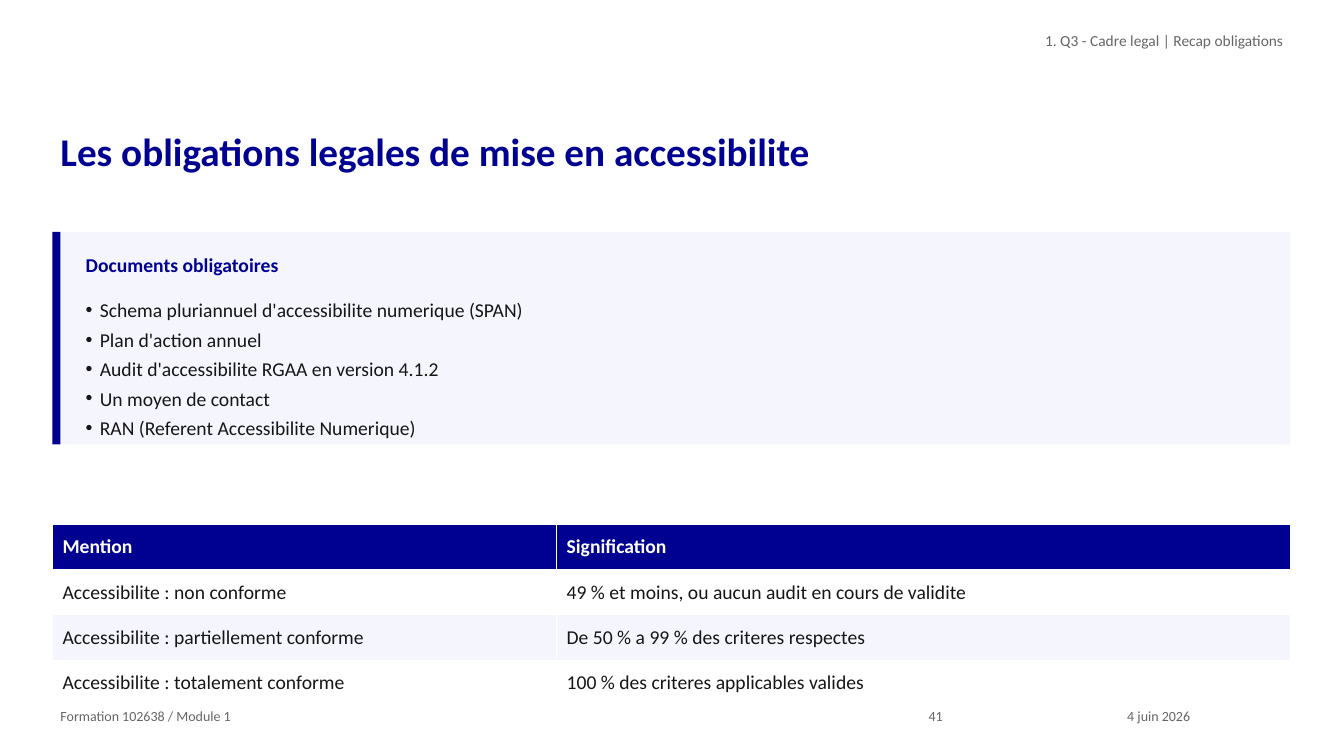
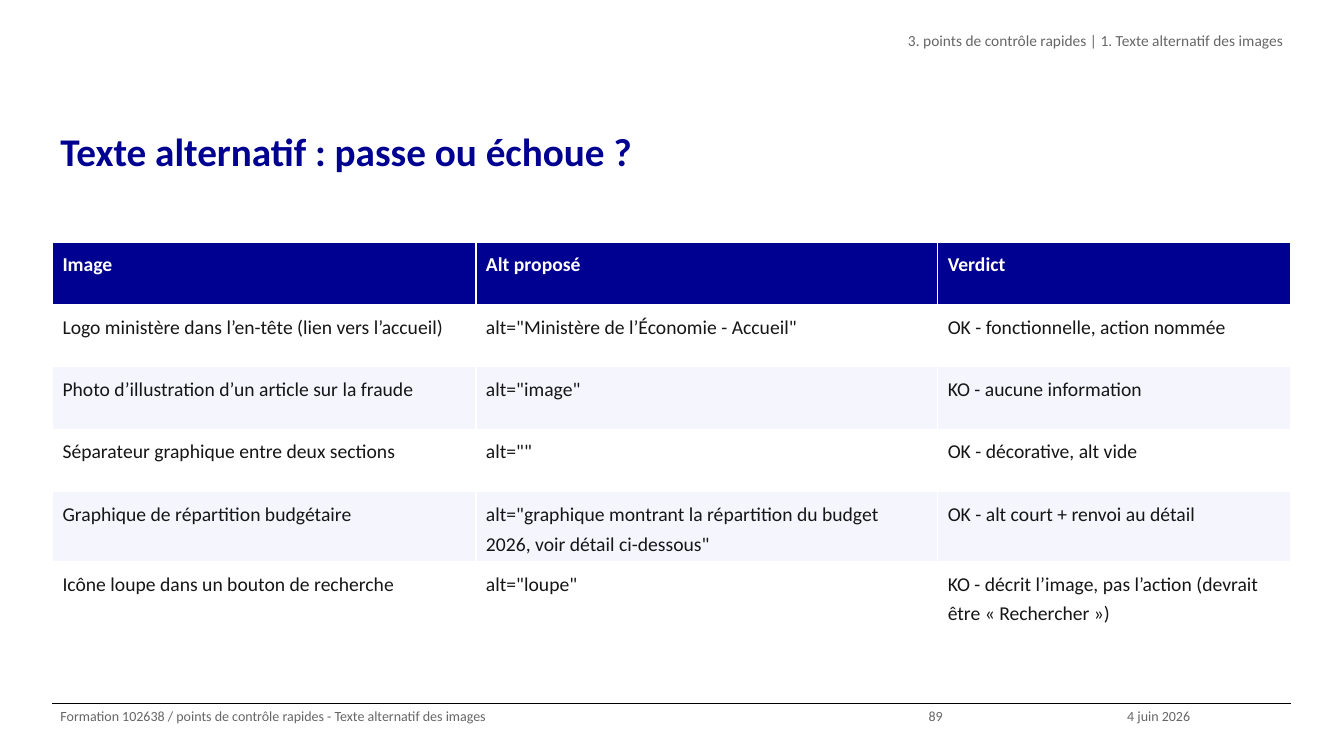
from dataclasses import dataclass
from typing import Optional

from lxml.etree import SubElement
from pptx import Presentation
from pptx.dml.color import RGBColor
from pptx.enum.shapes import MSO_CONNECTOR, MSO_SHAPE
from pptx.enum.text import MSO_ANCHOR, MSO_AUTO_SIZE, PP_ALIGN
from pptx.oxml.ns import qn
from pptx.util import Inches, Pt


@dataclass(frozen=True)
class Theme:
    font: str = "Calibri"
    primary: RGBColor = RGBColor(0x00, 0x00, 0x91)
    tint: RGBColor = RGBColor(0xF5, 0xF5, 0xFE)
    white: RGBColor = RGBColor(0xFF, 0xFF, 0xFF)
    black: RGBColor = RGBColor(0x00, 0x00, 0x00)
    ink: RGBColor = RGBColor(0x16, 0x16, 0x16)
    muted: RGBColor = RGBColor(0x66, 0x66, 0x66)
    title_size: int = 28
    text_size: int = 14
    header_size: int = 11
    footer_size: int = 10
    line_spacing: float = 1.25
    left: float = 0.52
    width: float = 12.28
    footer_top: float = 6.98


@dataclass(frozen=True)
class Callout:
    heading: str
    items: tuple[str, ...]
    top: float
    height: float


@dataclass(frozen=True)
class Grid:
    top: float
    row_height: float
    columns: tuple[float, ...]
    rows: tuple[tuple[str, ...], ...]


@dataclass(frozen=True)
class PageContent:
    title: str
    header: str
    footer: str
    number: str
    grid: Grid
    callout: Optional[Callout] = None


THEME = Theme()
DATE = "4 juin 2026"
TITLE_AND_CONTENT, TWO_CONTENT = 1, 3

PAGES = (
    PageContent(
        title="Les obligations legales de mise en accessibilite",
        header="1. Q3 - Cadre legal | Recap obligations",
        footer="Formation 102638 / Module 1",
        number="41",
        callout=Callout(
            heading="Documents obligatoires",
            items=(
                "Schema pluriannuel d'accessibilite numerique (SPAN)",
                "Plan d'action annuel",
                "Audit d'accessibilite RGAA en version 4.1.2",
                "Un moyen de contact",
                "RAN (Referent Accessibilite Numerique)",
            ),
            top=2.3,
            height=2.11,
        ),
        grid=Grid(
            top=5.2,
            row_height=0.45,
            columns=(5, 7.28),
            rows=(
                ("Mention", "Signification"),
                ("Accessibilite : non conforme", "49 % et moins, ou aucun audit en cours de validite"),
                ("Accessibilite : partiellement conforme", "De 50 % a 99 % des criteres respectes"),
                ("Accessibilite : totalement conforme", "100 % des criteres applicables valides"),
            ),
        ),
    ),
    PageContent(
        title="Texte alternatif : passe ou échoue ?",
        header="3. points de contrôle rapides | 1. Texte alternatif des images",
        footer="Formation 102638 / points de contrôle rapides - Texte alternatif des images",
        number="89",
        grid=Grid(
            top=2.4,
            row_height=0.62,
            columns=(4.2, 4.58, 3.5),
            rows=(
                ("Image", "Alt proposé", "Verdict"),
                ("Logo ministère dans l’en-tête (lien vers l’accueil)",
                 'alt="Ministère de l’Économie - Accueil"', "OK - fonctionnelle, action nommée"),
                ("Photo d’illustration d’un article sur la fraude", 'alt="image"', "KO - aucune information"),
                ("Séparateur graphique entre deux sections", 'alt=""', "OK - décorative, alt vide"),
                ("Graphique de répartition budgétaire",
                 'alt="graphique montrant la répartition du budget 2026, voir détail ci-dessous"',
                 "OK - alt court + renvoi au détail"),
                ("Icône loupe dans un bouton de recherche", 'alt="loupe"',
                 "KO - décrit l’image, pas l’action (devrait être « Rechercher »)"),
            ),
        ),
    ),
)


def write(frame, *lines: str, size: int = THEME.text_size, color: RGBColor = THEME.ink,
          bold: bool = False, align: PP_ALIGN = PP_ALIGN.LEFT, bullet: Optional[str] = None) -> None:
    for index, line in enumerate(lines):
        para = frame.paragraphs[0] if index == 0 else frame.add_paragraph()
        properties = para._p.get_or_add_pPr()
        hanging = Inches(0.14) if bullet else 0
        properties.set("marL", str(hanging))
        properties.set("indent", str(-hanging))
        if bullet:
            SubElement(properties, qn("a:buChar")).set("char", bullet)
        else:
            SubElement(properties, qn("a:buNone"))
        para.alignment = align
        para.line_spacing = THEME.line_spacing
        para.space_before = Pt(0)
        span = para.add_run()
        span.text = line
        span.font.name = THEME.font
        span.font.size = Pt(size)
        span.font.bold = bold
        span.font.color.rgb = color


def place(box, left: float, top: float, width: float, height: float, inset: float = 0):
    box.left, box.top = Inches(left), Inches(top)
    box.width, box.height = Inches(width), Inches(height)
    frame = box.text_frame
    frame.word_wrap = True
    frame.auto_size = MSO_AUTO_SIZE.NONE
    frame.vertical_anchor = MSO_ANCHOR.TOP
    frame.margin_left = frame.margin_right = Inches(0.08)
    frame.margin_top = frame.margin_bottom = Inches(inset)
    return frame


def add_text(page, text: str, left: float, top: float, width: float, height: float,
             inset: float = 0, **style) -> None:
    box = page.shapes.add_textbox(0, 0, 0, 0)
    write(place(box, left, top, width, height, inset), text, **style)


def add_band(page, left: float, top: float, width: float, height: float, color: RGBColor) -> None:
    band = page.shapes.add_shape(
        MSO_SHAPE.RECTANGLE, Inches(left), Inches(top), Inches(width), Inches(height))
    band.shadow.inherit = False
    band.fill.solid()
    band.fill.fore_color.rgb = color
    band.line.fill.background()


def add_frame(page, content: PageContent) -> None:
    """Draw the title, header, footer rule and footer texts."""
    top = Inches(THEME.footer_top)
    rule = page.shapes.add_connector(
        MSO_CONNECTOR.STRAIGHT, Inches(THEME.left), top, Inches(THEME.left + THEME.width), top)
    rule.line.color.rgb = THEME.black
    rule.line.width = Pt(0.8)
    SubElement(rule.element.spPr, qn("a:effectLst"))
    write(place(page.shapes.title, THEME.left, 1.15, THEME.width, 1.05), content.title,
          size=THEME.title_size, color=THEME.primary, bold=True)
    write(place(page.placeholders[1], 4.83, 0.26, 7.98, 0.52), content.header,
          size=THEME.header_size, color=THEME.muted, align=PP_ALIGN.RIGHT)


def add_footer(page, content: PageContent) -> None:
    left = THEME.left
    for text, width in ((content.footer, 8.61), (content.number, 1.97), (DATE, 1.71)):
        add_text(page, text, left, THEME.footer_top, width, 0.52,
                 size=THEME.footer_size, color=THEME.muted)
        left += width


def add_callout(page, callout: Callout) -> None:
    bar = 0.08
    add_band(page, THEME.left + bar, callout.top, THEME.width - bar, callout.height, THEME.tint)
    add_band(page, THEME.left, callout.top, bar, callout.height, THEME.primary)
    left, width = THEME.left + 0.25, THEME.width - 0.35
    add_text(page, callout.heading, left, callout.top + 0.1, width, 0.35, inset=0.05,
             color=THEME.primary, bold=True)
    items = page.placeholders[2]
    page.shapes.element.append(items.element)
    write(place(items, left, callout.top + 0.55, width, 1.46, 0.05), *callout.items, bullet="•")


def add_grid(page, grid: Grid) -> None:
    table = page.shapes.add_table(
        len(grid.rows), len(grid.columns), Inches(THEME.left), Inches(grid.top),
        Inches(sum(grid.columns)), Inches(grid.row_height * len(grid.rows))).table
    for column, width in zip(table.columns, grid.columns):
        column.width = Inches(width)
    for row_index, texts in enumerate(grid.rows):
        table.rows[row_index].height = Inches(grid.row_height)
        heading = row_index == 0
        stripe = THEME.white if row_index % 2 else THEME.tint
        for column_index, text in enumerate(texts):
            cell = table.cell(row_index, column_index)
            cell.fill.solid()
            cell.fill.fore_color.rgb = THEME.primary if heading else stripe
            write(cell.text_frame, text, bold=heading,
                  color=THEME.white if heading else THEME.ink)


def add_page(deck, content: PageContent) -> None:
    layout = TWO_CONTENT if content.callout else TITLE_AND_CONTENT
    page = deck.slides.add_slide(deck.slide_layouts[layout])
    add_frame(page, content)
    if content.callout:
        add_callout(page, content.callout)
    add_grid(page, content.grid)
    add_footer(page, content)


def main() -> None:
    deck = Presentation()
    deck.slide_width, deck.slide_height = Inches(13.33), Inches(7.5)
    for content in PAGES:
        add_page(deck, content)
    deck.save("out.pptx")


if __name__ == "__main__":
    main()
